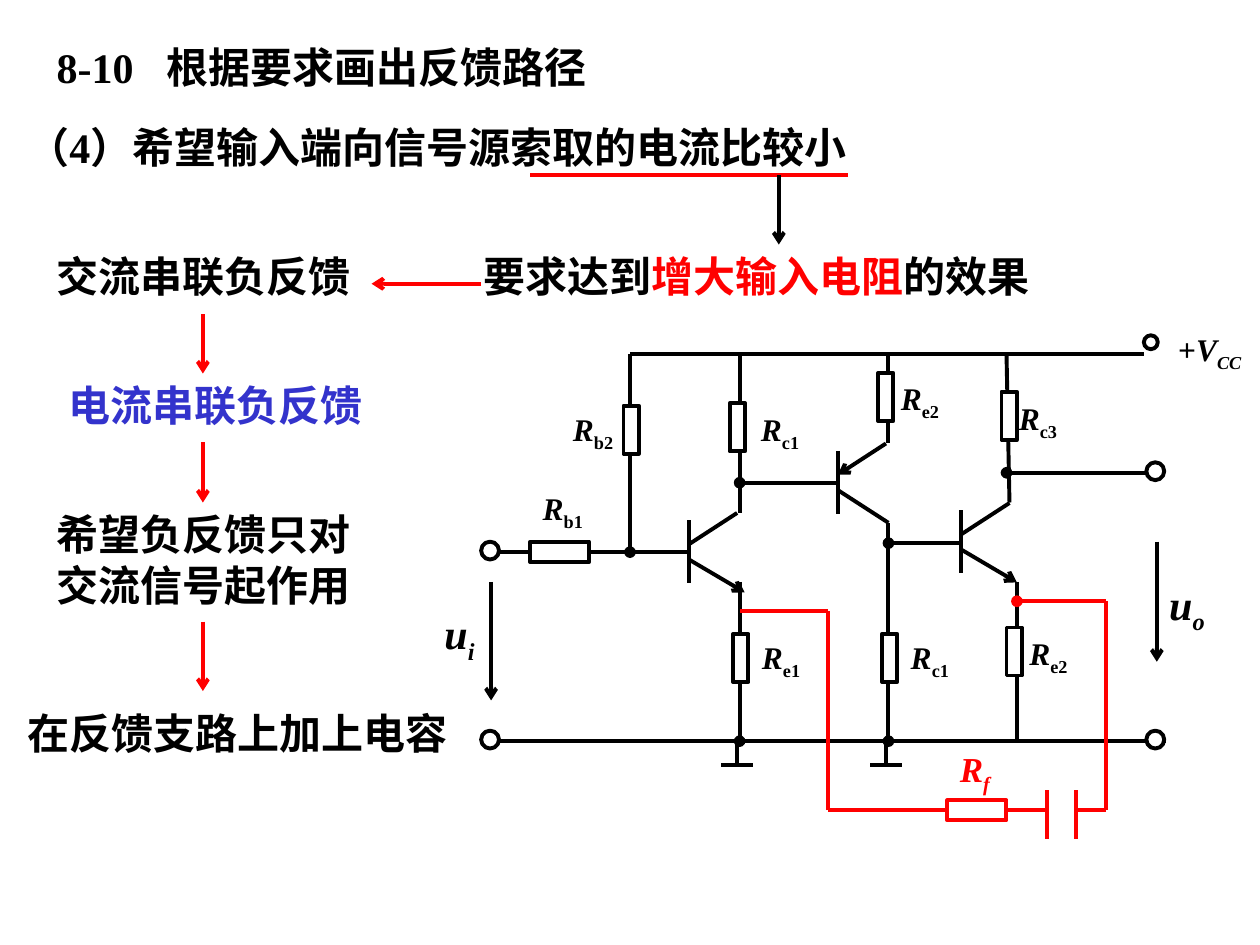
from dataclasses import dataclass

from lxml.etree import SubElement
from pptx import Presentation
from pptx.dml.color import RGBColor
from pptx.enum.shapes import MSO_CONNECTOR, MSO_SHAPE
from pptx.enum.text import MSO_ANCHOR, PP_ALIGN
from pptx.oxml.ns import qn
from pptx.util import Cm, Pt


@dataclass(frozen=True)
class Theme:
    ink: str = "000000"
    accent: str = "FF0000"
    answer: str = "3333CC"
    paper: str = "FFFFFF"
    font: str = "Times New Roman"
    body: int = 24
    feedback: int = 20
    label: int = 18
    stroke: float = 2.24


@dataclass(frozen=True)
class Box:
    left: float
    top: float

    def at(self, x, y):
        return Cm(round(self.left + x, 2)), Cm(round(self.top + y, 2))


THEME = Theme()


def write(frame, runs, size=THEME.body):
    frame.word_wrap = True
    frame.vertical_anchor = MSO_ANCHOR.TOP
    frame.margin_left = frame.margin_right = Cm(0.25)
    frame.margin_top = frame.margin_bottom = Cm(0.13)
    paragraph = frame.paragraphs[0]
    paragraph.alignment = PP_ALIGN.LEFT
    for wording, color, italic, subscript in runs:
        run = paragraph.add_run()
        run.text = wording
        run.font.name = THEME.font
        run.font.size = Pt(size)
        run.font.bold = True
        run.font.italic = italic
        run.font.color.rgb = RGBColor.from_string(color)
        if subscript:
            run._r.get_or_add_rPr().set("baseline", "-25000")


def plain(wording, color=THEME.ink):
    return wording, color, False, False


def text(slide, box, x, y, width, runs, size=THEME.body, height=1.27):
    holder = slide.shapes.add_textbox(*box.at(x, y), Cm(width), Cm(height))
    write(holder.text_frame, runs, size)


def symbol(slide, box, x, y, letter, index, upright=True, size=THEME.label,
           color=THEME.ink, prefix="", width=1.6):
    runs = [plain(prefix, color)] if prefix else []
    runs += [(letter, color, True, False), (index, color, not upright, True)]
    text(slide, box, x, y, width, runs, size, 1.12)


def wire(slide, box, x1, y1, x2, y2, color=THEME.ink, head=None, tail=None):
    line = slide.shapes.add_connector(
        MSO_CONNECTOR.STRAIGHT, *box.at(x1, y1), *box.at(x2, y2))
    line.line.color.rgb = RGBColor.from_string(color)
    line.line.width = Pt(THEME.stroke)
    outline = line.line._get_or_add_ln()
    for end, kind in (("a:headEnd", head), ("a:tailEnd", tail)):
        if kind:
            SubElement(outline, qn(end)).set("type", kind)
    SubElement(line._element.spPr, qn("a:effectLst"))


def part(slide, box, kind, x, y, width, height, color=THEME.ink):
    body = slide.shapes.add_shape(kind, *box.at(x, y), Cm(width), Cm(height))
    body.shadow.inherit = False
    body.fill.solid()
    body.fill.fore_color.rgb = RGBColor.from_string(THEME.paper)
    body.line.color.rgb = RGBColor.from_string(color)
    body.line.width = Pt(THEME.stroke)


def transistor(slide, box, x, top, pnp=False):
    wire(slide, box, x, top, x, top + 1.27)
    wire(slide, box, x, top + 0.48, x + 0.97, top - 0.15,
         head="arrow" if pnp else None)
    wire(slide, box, x, top + 0.79, x + (1.02 if pnp else 1.12), top + 1.45,
         tail=None if pnp else "arrow")


def ground(slide, box, x, y):
    wire(slide, box, x, y, x, y + 0.48)
    wire(slide, box, x - 0.32, y + 0.48, x + 0.32, y + 0.48)


def question(slide, box):
    title = slide.shapes.title
    title.left, title.top = box.at(2.8, 0)
    title.width, title.height = Cm(11.81), Cm(1.27)
    write(title.text_frame, [plain("根据要求画出反馈路径")])
    text(slide, box, 0.59, 0, 3.4, [plain("8-10")])
    text(slide, box, 0, 1.6, 24, [plain("（4）希望输入端向信号源索取的电流比较小")])
    wire(slide, box, 10.39, 2.82, 16.79, 2.82, THEME.accent)
    wire(slide, box, 15.4, 2.82, 15.4, 4.22, tail="arrow")


def reasoning(slide, box):
    text(slide, box, 9.2, 0, 13.49, [
        plain("要求达到"), plain("增大输入电阻", THEME.accent), plain("的效果")])
    wire(slide, box, 9.4, 0.79, 7.19, 0.79, THEME.accent, tail="arrow")
    steps = [
        (0.59, 0, 8.2, "交流串联负反馈", THEME.ink),
        (0.83, 2.59, 8.2, "电流串联负反馈", THEME.answer),
        (0.59, 5.2, 7.01, "希望负反馈只对交流信号起作用", THEME.ink),
        (0, 9.2, 9.6, "在反馈支路上加上电容", THEME.ink),
    ]
    for x, y, width, wording, color in steps:
        text(slide, box, x, y, width, [plain(wording, color)])
    for start, end in ((1.4, 2.6), (3.99, 5.2), (7.6, 9)):
        wire(slide, box, 3.79, start, 3.79, end, THEME.accent, tail="arrow")


def amplifier(slide, box):
    wires = [
        (2.8, 0, 13.16, 0), (0, 7.8, 13.6, 7.8),
        (0, 3.99, 3.99, 3.99), (5.01, 3.2, 5.01, 0),
        (8.01, 1.8, 8.01, 0), (10.39, 0, 10.45, 2.99),
        (10.6, 4.59, 10.6, 7.8), (10.39, 2.39, 13.21, 2.39, "oval"),
        (2.8, 3.99, 2.8, 0, "oval"), (5.01, 2.59, 6.99, 2.59, "oval"),
        (8.01, 3.81, 9.48, 3.81, "oval"),
        (5.01, 4.59, 5.01, 7.8, None, "oval"),
        (8.01, 3.4, 8.01, 7.8, None, "oval"),
        (0, 4.59, 0, 6.98, None, "arrow"),
        (13.42, 3.78, 13.42, 6.2, None, "arrow"),
    ]
    for x1, y1, x2, y2, *ends in wires:
        wire(slide, box, x1, y1, x2, y2, THEME.ink, *ends)
    transistor(slide, box, 3.99, 3.35)
    transistor(slide, box, 6.99, 1.95, pnp=True)
    transistor(slide, box, 9.48, 3.15)
    for x in (4.96, 7.96):
        ground(slide, box, x, 7.8)
    resistors = [
        (2.67, 1.04, 1.4, 0.99, "b2"), (4.81, 0.99, 5.19, 0.99, "c1"),
        (7.8, 0.38, 8.01, 0.38, "e2"), (10.29, 0.76, 10.39, 0.78, "c3"),
        (4.88, 5.64, 5.21, 5.59, "e1"), (7.88, 5.64, 8.21, 5.59, "c1"),
        (10.39, 5.51, 10.6, 5.51, "e2"),
    ]
    for x, y, label_x, label_y, index in resistors:
        part(slide, box, MSO_SHAPE.RECTANGLE, x, y, 0.31, 0.97)
        symbol(slide, box, label_x, label_y, "R", index)
    part(slide, box, MSO_SHAPE.RECTANGLE, 0.79, 3.78, 1.19, 0.41)
    symbol(slide, box, 0.79, 2.59, "R", "b1")
    terminals = [(13.16, -0.38, 0.28), (13.21, 2.18, 0.36),
                 (13.21, 7.59, 0.36), (-0.2, 7.59, 0.36), (-0.2, 3.78, 0.36)]
    for x, y, size in terminals:
        part(slide, box, MSO_SHAPE.OVAL, x, y, size, size)
    symbol(slide, box, 13.6, -0.61, "V", "CC", False, prefix="+", width=3.35)
    for x, y, index in ((-1.19, 4.98, "i"), (13.42, 4.39, "o")):
        symbol(slide, box, x, y, "u", index, False, THEME.body, width=2.21)


def feedback_path(slide, box):
    for x1, y1, x2, y2, *ends in [
        (10.6, 4.98, 12.4, 4.98, "oval"), (12.4, 4.98, 12.4, 9.19),
        (12.4, 9.19, 11.79, 9.19), (11.21, 9.19, 6.79, 9.19),
        (6.79, 9.19, 6.79, 5.18), (6.79, 5.18, 5.01, 5.18),
        (11.79, 8.79, 11.79, 9.78), (11.21, 8.79, 11.21, 9.78),
    ]:
        wire(slide, box, x1, y1, x2, y2, THEME.accent, *ends)
    part(slide, box, MSO_SHAPE.RECTANGLE, 9.2, 8.99, 1.19, 0.41, THEME.accent)
    symbol(slide, box, 9.2, 7.8, "R", "f", False, THEME.feedback,
           THEME.accent, width=3)


deck = Presentation()
deck.slide_width, deck.slide_height = Cm(25.4), Cm(19.05)
slide = deck.slides.add_slide(deck.slide_layouts[5])
question(slide, Box(0.3, 0.71))
reasoning(slide, Box(0.3, 4.93))
circuit = Box(9.9, 7.14)
amplifier(slide, circuit)
feedback_path(slide, circuit)
deck.save("out.pptx")
